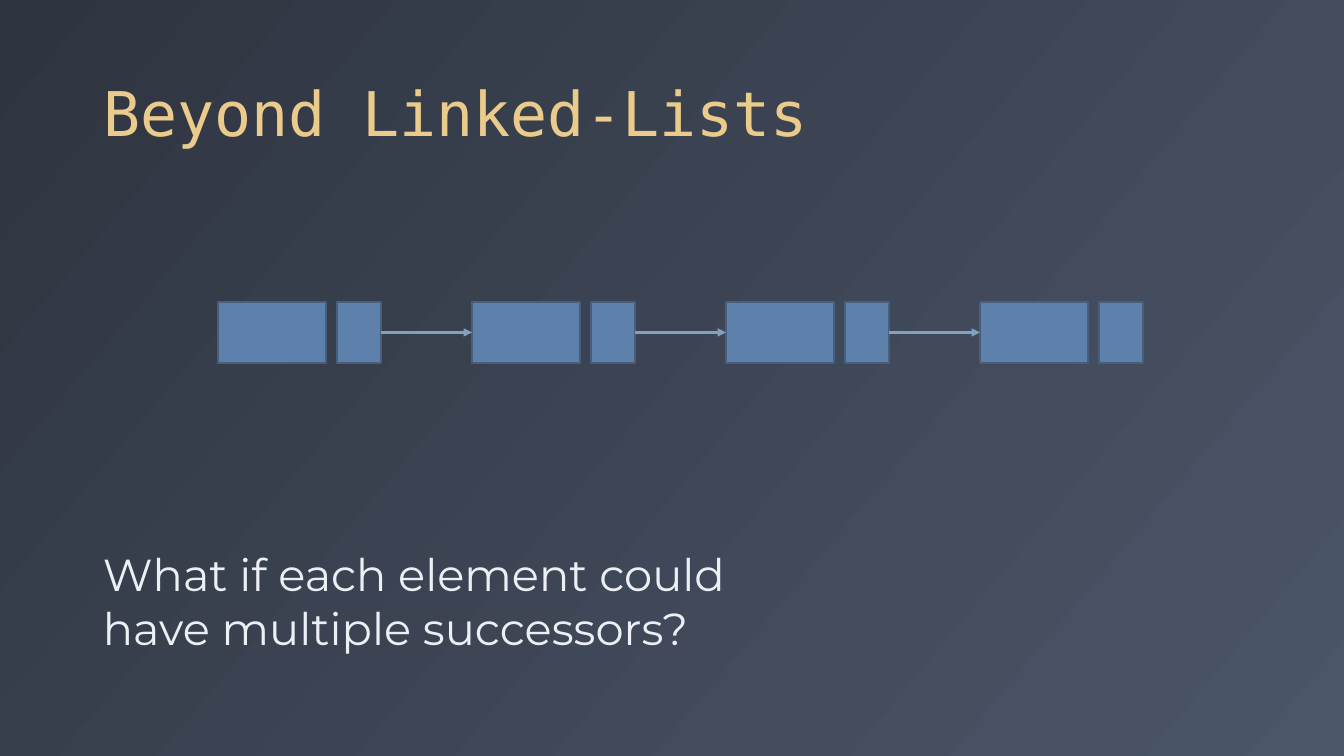
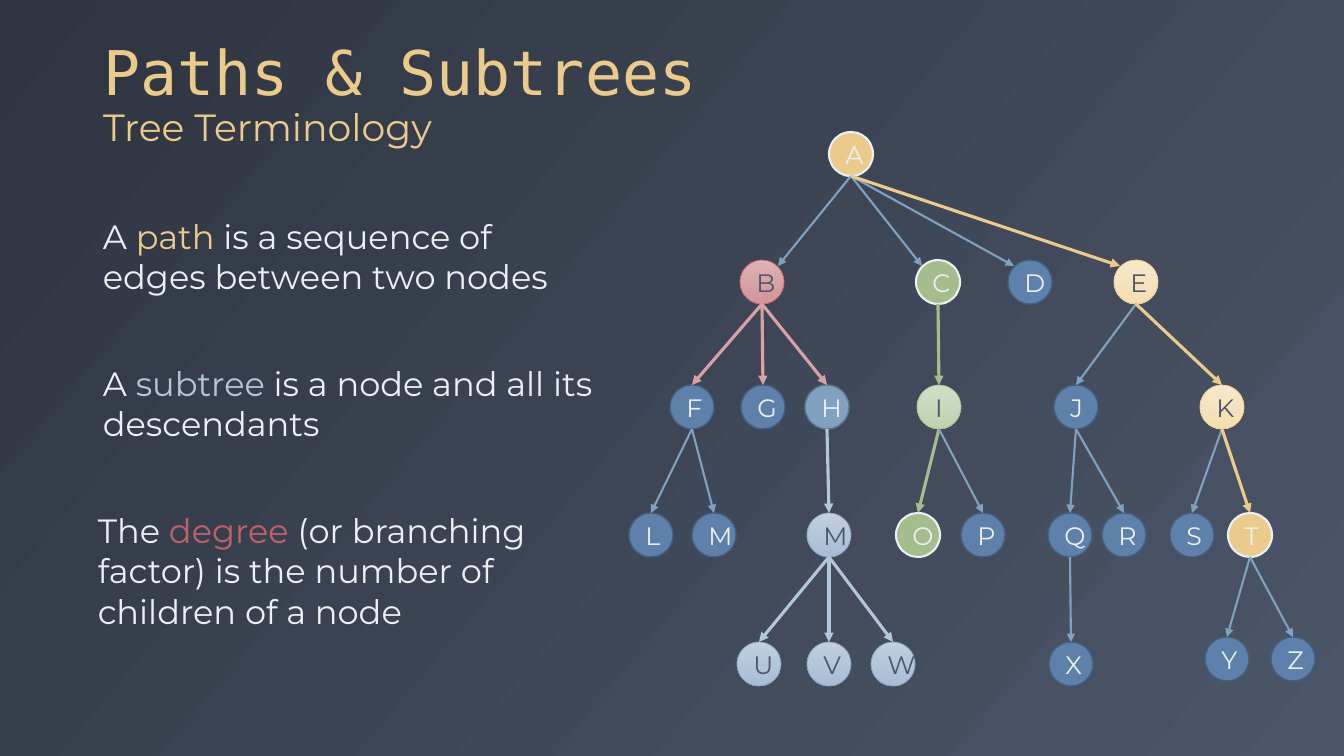
from lxml import etree
from pptx import Presentation
from pptx import util as u
from pptx.dml.color import RGBColor
from pptx.enum import shapes, text
from pptx.oxml.ns import qn

SCALE = 914400 / 100.8
MONO, SANS = "DejaVu Sans Mono", "Montserrat"
NIGHT, SLATE, SNOW = "2E3440", "4C5669", "ECEFF3"
GOLD, RED, GREEN, ICE = "EBCB8B", "BF6169", "A3BE8C", "B3C7DA"
BLUE, NAVY, STEEL, ROSE = "5E81AC", "465F7F", "81A1C1", "D9A0A5"

LOOKS = {
    "plain": ([BLUE], NAVY, 1, SNOW),
    "steel": ([STEEL], "5F778F", 1, SNOW),
    "gold end": ([GOLD], SNOW, 1.5, SNOW),
    "green end": ([GREEN], SNOW, 1.5, SNOW),
    "gold": (["F7E7CB", "F4DDB1"], GOLD, 0.5, SLATE),
    "green": (["D1DEC6", "BFD2B0"], GREEN, 0.5, SLATE),
    "ice": (["C1CFDF", "A8BDD5"], STEEL, 0.5, SLATE),
    "red": (["DDB2B5", "D39599"], RED, 0.5, SLATE),
}

TREE = [
    (0, [("A", 200, "gold end", None, None)]),
    (128, [("B", 111, "red", "A", STEEL), ("C", 287, "green end", "A", STEEL),
           ("D", 379, "plain", "A", STEEL), ("E", 485, "gold", "A", GOLD)]),
    (253, [("F", 41, "plain", "B", ROSE), ("G", 112, "plain", "B", ROSE),
           ("H", 176, "steel", "B", ROSE), ("I", 288, "green", "C", GREEN),
           ("J", 425, "plain", "E", STEEL), ("K", 571, "gold", "E", GOLD)]),
    (381, [("L", 0, "plain", "F", STEEL), ("M", 63, "plain", "F", STEEL),
           ("M", 178, "ice", "H", ICE), ("O", 267, "green end", "I", GREEN),
           ("P", 332, "plain", "I", STEEL), ("Q", 419, "plain", "J", STEEL),
           ("R", 473, "plain", "J", STEEL), ("S", 541, "plain", "K", STEEL),
           ("T", 599, "gold end", "K", GOLD)]),
    (505, [("Y", 576, "plain", "T", STEEL), ("Z", 642, "plain", "T", STEEL)]),
    (510, [("U", 108, "ice", "M", ICE), ("V", 178, "ice", "M", ICE),
           ("W", 242, "ice", "M", ICE), ("X", 420, "plain", "Q", STEEL)]),
]

DEFINITIONS = [
    ((93, 211, 514, 92), "A ", "path", GOLD,
     " is a sequence of edges between two nodes"),
    ((93, 358, 514, 92), "A ", "subtree", ICE,
     " is a node and all its descendants"),
    ((88, 505, 514, 132), "The ", "degree", RED,
     " (or branching factor) is the number of children of a node"),
]


def px(length):
    return u.Emu(round(length * SCALE))


def place(box):
    return [px(length) for length in box]


def rgb(value):
    return RGBColor.from_string(value)


def paint(fill, colours, angle):
    if len(colours) == 1:
        fill.solid()
        fill.fore_color.rgb = rgb(colours[0])
        return
    fill.gradient()
    fill.gradient_angle = angle
    for stop, colour in zip(fill.gradient_stops, colours):
        stop.color.rgb = rgb(colour)


def style(span, font, size, colour):
    span.font.name = font
    span.font.size = u.Pt(size)
    span.font.color.rgb = rgb(colour)


def add_page(deck, title, subtitle=None):
    page = deck.slides.add_slide(deck.slide_layouts[5])
    heading = page.shapes.title
    heading.left, heading.top, heading.width, heading.height = place((93, 18, 1159, 137))
    frame = heading.text_frame
    frame.text = f"{title}\v{subtitle}" if subtitle else title
    frame.auto_size = text.MSO_AUTO_SIZE.NONE
    frame.vertical_anchor = text.MSO_ANCHOR.BOTTOM
    para = frame.paragraphs[0]
    para.alignment = text.PP_ALIGN.LEFT
    para.line_spacing = 0.9
    for span, (font, size) in zip(para.runs, [(MONO, 44), (SANS, 27)]):
        style(span, font, size, GOLD)
    return page


def add_prose(page, box, size, spans):
    frame = page.shapes.add_textbox(*place(box)).text_frame
    frame.word_wrap = True
    frame.auto_size = text.MSO_AUTO_SIZE.SHAPE_TO_FIT_TEXT
    for words, colour in spans:
        span = frame.paragraphs[0].add_run()
        span.text = words
        style(span, SANS, size, colour)


def add_part(page, kind, box, look, label=""):
    colours, outline, weight, ink = LOOKS[look]
    part = page.shapes.add_shape(kind, *place(box))
    part.shadow.inherit = False
    paint(part.fill, colours, 270)
    part.line.color.rgb = rgb(outline)
    part.line.width = u.Pt(weight)
    if label:
        para = part.text_frame.paragraphs[0]
        para.text = label
        para.alignment = text.PP_ALIGN.CENTER
        style(para.runs[0], SANS, 18, ink)
    return part


def add_arrow(page, start, end, colour, weight):
    arrow = page.shapes.add_connector(shapes.MSO_CONNECTOR.STRAIGHT, *start, *end)
    arrow.line.color.rgb = rgb(colour)
    arrow.line.width = u.Pt(weight)
    properties = arrow.element.spPr
    etree.SubElement(properties.find(qn("a:ln")), qn("a:tailEnd"), type="triangle")
    etree.SubElement(properties, qn("a:effectLst"))
    return arrow


def add_chain(page, left, top, count):
    pointer = None
    for index in range(count):
        x = left + 254 * index
        value = add_part(page, shapes.MSO_SHAPE.RECTANGLE, (x, top, 108, 61), "plain")
        if pointer:
            arrow = add_arrow(page, (0, 0), (0, 0), STEEL, 1.5)
            arrow.begin_connect(pointer, 3)
            arrow.end_connect(value, 1)
        pointer = add_part(page, shapes.MSO_SHAPE.RECTANGLE, (x + 119, top, 44, 61), "plain")


def add_tree(page, left, top):
    size = 44
    nodes = {}
    for row, entries in TREE:
        for label, x, look, parent_label, colour in entries:
            box = (left + x, top + row, size, size)
            node = add_part(page, shapes.MSO_SHAPE.OVAL, box, look, label)
            nodes[label] = node
            if parent_label is None:
                continue
            parent = nodes[parent_label]
            start = (parent.left + parent.width // 2, parent.top + parent.height)
            side = 16 if node.left < parent.left else -16
            end = (node.left + px(size // 2 + side), node.top + px(6))
            arrow = add_arrow(page, start, end, colour, 1.5 if colour == STEEL else 2.25)
            if parent_label != "A":
                arrow.end_connect(node, 0)


def build_list_slide(deck):
    page = add_page(deck, "Beyond Linked-Lists")
    add_prose(page, (93, 542, 717, 119), 32,
              [("What if each element could have multiple successors?", SNOW)])
    add_chain(page, 218, 302, 4)


def build_tree_slide(deck):
    page = add_page(deck, "Paths & Subtrees", "Tree Terminology")
    add_tree(page, 629, 132)
    for box, opening, term, colour, rest in DEFINITIONS:
        add_prose(page, box, 24, [(opening, SNOW), (term, colour), (rest, SNOW)])


def main():
    deck = Presentation()
    deck.slide_width, deck.slide_height = px(1344), px(756)
    paint(deck.slide_master.background.fill, [NIGHT, SLATE], 320)
    build_list_slide(deck)
    build_tree_slide(deck)
    deck.save("out.pptx")


if __name__ == "__main__":
    main()
